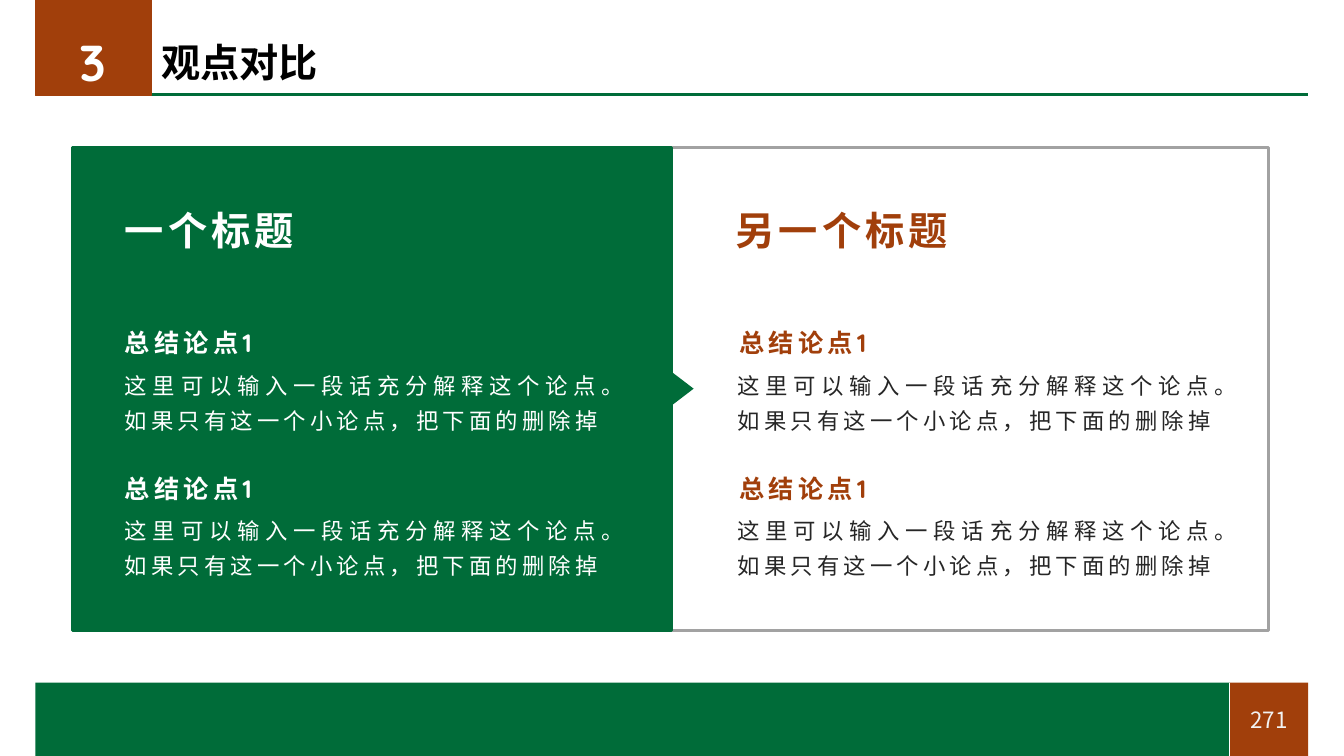
from dataclasses import dataclass

from lxml import etree
from pptx import Presentation
from pptx.dml.color import RGBColor
from pptx.enum.shapes import MSO_CONNECTOR, MSO_SHAPE
from pptx.enum.text import MSO_ANCHOR, PP_ALIGN
from pptx.oxml.ns import qn
from pptx.util import Cm, Pt

RECTANGLE = MSO_SHAPE.RECTANGLE
TRIANGLE = MSO_SHAPE.ISOSCELES_TRIANGLE
STRAIGHT = MSO_CONNECTOR.STRAIGHT
TOP, MIDDLE = MSO_ANCHOR.TOP, MSO_ANCHOR.MIDDLE
LEFT, CENTER, JUSTIFY = PP_ALIGN.LEFT, PP_ALIGN.CENTER, PP_ALIGN.JUSTIFY


@dataclass(frozen=True)
class Theme:
    green: str = "006C39"
    rust: str = "A13F0B"
    grey: str = "A2A2A2"
    white: str = "FFFFFF"
    pale: str = "F2F2F2"
    black: str = "000000"
    ink: str = "262626"
    cjk_font: str = "Noto Sans CJK SC"
    latin_font: str = "Quicksand"
    number_size: int = 36
    title_size: int = 28
    label_size: int = 18
    body_size: int = 16
    frame_width: float = 2.25
    thin_width: float = 1


THEME = Theme()
LABEL = "总结论点1"
BODY = "这里可以输入一段话充分解释这个论点。如果只有这一个小论点，把下面的删除掉"
POINT_TOPS = (8.03, 11.69)
PANEL_TOP, PANEL_WIDTH, PANEL_HEIGHT = 3.71, 15.09, 12.19
MARGIN, RIGHT_EDGE = 0.89, 32.97
FOOTER_TOP, FOOTER_HEIGHT, PAGE_LEFT = 17.2, 1.85, 30.99


def set_attributes(target, values):
    for name, value in values.items():
        setattr(target, name, value)


def add_block(slide, kind, box, fill=None, outline=None, width=THEME.frame_width):
    shape = slide.shapes.add_shape(kind, *map(Cm, box))
    shape.shadow.inherit = False
    if fill:
        shape.fill.solid()
        shape.fill.fore_color.rgb = RGBColor.from_string(fill)
    else:
        shape.fill.background()
    if outline:
        shape.line.color.rgb = RGBColor.from_string(outline)
        shape.line.width = Pt(width)
    else:
        shape.line.fill.background()
    return shape


def add_rule(slide, ends, color, width):
    connector = slide.shapes.add_connector(STRAIGHT, *map(Cm, ends))
    connector.line.color.rgb = RGBColor.from_string(color)
    connector.line.width = Pt(width)
    etree.SubElement(connector._element.spPr, qn("a:effectLst"))


def add_text(slide, box, text, size, color, font=THEME.cjk_font, bold=False,
             align=LEFT, anchor=TOP, line_spacing=1.0, tracking=0, inset=None):
    frame = slide.shapes.add_textbox(*map(Cm, box)).text_frame
    set_attributes(frame, {"word_wrap": True, "vertical_anchor": anchor})
    if inset is not None:
        sides = ("left", "right", "top", "bottom")
        set_attributes(frame, {f"margin_{side}": Cm(inset) for side in sides})
    paragraph = frame.paragraphs[0]
    set_attributes(paragraph, {"alignment": align, "line_spacing": line_spacing})
    run = paragraph.add_run()
    run.text = text
    set_attributes(run.font, {"name": font, "size": Pt(size), "bold": bold})
    run.font.color.rgb = RGBColor.from_string(color)
    properties = run._r.get_or_add_rPr()
    etree.SubElement(properties, qn("a:ea")).set("typeface", THEME.cjk_font)
    if tracking:
        properties.set("spc", str(tracking * 100))


def add_viewpoint(slide, heading, lefts, accent, body_color):
    heading_left, label_left, body_left = lefts
    spaced = {"line_spacing": 1.3, "tracking": 3, "inset": 0}
    add_text(slide, (heading_left, 4.85, 7.37, 1.5), heading,
             THEME.title_size, accent, bold=True, **spaced)
    for top in POINT_TOPS:
        add_text(slide, (label_left, top, 12.7, 0.89), LABEL, THEME.label_size,
                 accent, THEME.latin_font, bold=True, **spaced)
        add_text(slide, (body_left, top + 1.14, 12.7, 1.7), BODY, THEME.body_size,
                 body_color, THEME.latin_font, align=JUSTIFY, **spaced)


def add_header(slide):
    add_rule(slide, (3.78, 2.39, RIGHT_EDGE, 2.39), THEME.green, THEME.frame_width)
    add_block(slide, RECTANGLE, (MARGIN, 0, 2.92, 2.41),
              THEME.rust, THEME.rust, THEME.thin_width)
    add_text(slide, (0.99, 0.66, 2.69, 1.8), "3", THEME.number_size, THEME.white,
             THEME.latin_font, bold=True, align=CENTER)
    add_text(slide, (3.81, 0.97, 24, 1.35), "观点对比", THEME.title_size,
             THEME.black, bold=True, anchor=MIDDLE, line_spacing=0.9)


def add_footer(slide):
    add_block(slide, RECTANGLE,
              (PAGE_LEFT, FOOTER_TOP, RIGHT_EDGE - PAGE_LEFT, FOOTER_HEIGHT), THEME.rust)
    add_block(slide, RECTANGLE,
              (MARGIN, FOOTER_TOP, PAGE_LEFT - MARGIN, FOOTER_HEIGHT), THEME.green)
    add_text(slide, (31.22, 17.65, 1.52, 0.94), "271", THEME.body_size, THEME.pale,
             align=CENTER, anchor=MIDDLE)
    add_rule(slide, (PAGE_LEFT, FOOTER_TOP, PAGE_LEFT, FOOTER_TOP + FOOTER_HEIGHT),
             THEME.white, THEME.thin_width)


def add_panels(slide):
    add_block(slide, RECTANGLE, (16.89, PANEL_TOP, PANEL_WIDTH, PANEL_HEIGHT),
              outline=THEME.grey)
    add_block(slide, RECTANGLE, (1.83, PANEL_TOP, PANEL_WIDTH, PANEL_HEIGHT),
              THEME.green, THEME.green)
    pointer = add_block(slide, TRIANGLE, (16.81, 9.53, 0.81, 0.53), THEME.green)
    pointer.rotation = 90


def main():
    presentation = Presentation()
    set_attributes(presentation, {"slide_width": Cm(33.87), "slide_height": Cm(19.05)})
    slide = presentation.slides.add_slide(presentation.slide_layouts[6])
    add_header(slide)
    add_footer(slide)
    add_panels(slide)
    add_viewpoint(slide, "一个标题", (3.15, 3.15, 3.15), THEME.white, THEME.white)
    add_viewpoint(slide, "另一个标题", (18.54, 18.64, 18.59), THEME.rust, THEME.ink)
    presentation.save("out.pptx")


if __name__ == "__main__":
    main()
